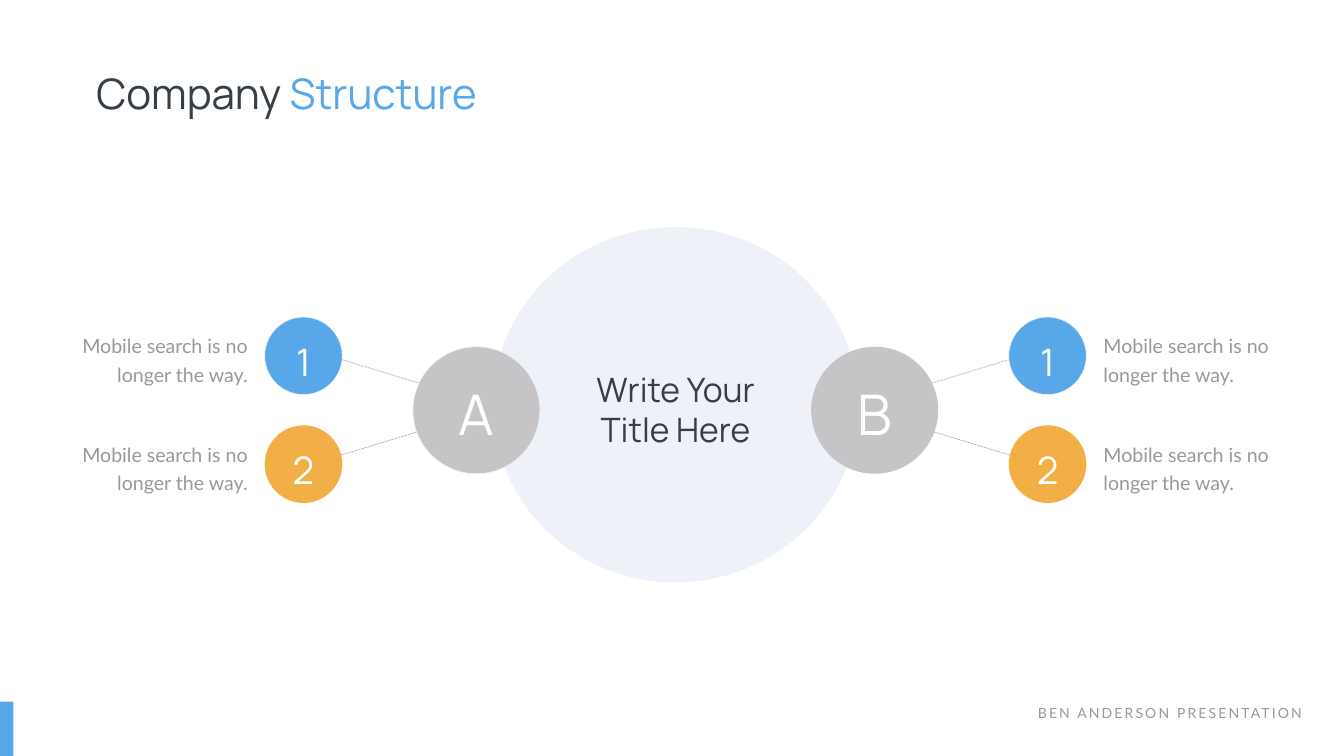
from dataclasses import dataclass

from lxml import etree
from pptx import Presentation
from pptx.dml.color import RGBColor
from pptx.enum.dml import MSO_LINE
from pptx.enum.shapes import MSO_CONNECTOR, MSO_SHAPE
from pptx.enum.text import MSO_ANCHOR, MSO_AUTO_SIZE, PP_ALIGN
from pptx.oxml.ns import qn
from pptx.util import Inches, Pt

OVAL, RECTANGLE = MSO_SHAPE.OVAL, MSO_SHAPE.RECTANGLE
STRAIGHT = MSO_CONNECTOR.STRAIGHT
DASHED = MSO_LINE.SQUARE_DOT
LEFT, CENTER, RIGHT = PP_ALIGN.LEFT, PP_ALIGN.CENTER, PP_ALIGN.RIGHT
TOP = MSO_ANCHOR.TOP
FIT_SHAPE = MSO_AUTO_SIZE.SHAPE_TO_FIT_TEXT
TITLE_ONLY = 5

COLUMNS, ROWS = 26.66, 15  # square grid cells across and down the slide


@dataclass(frozen=True)
class Theme:
    heading_font: str = "Manrope"
    body_font: str = "Lato"
    ink: str = "363E48"
    blue: str = "57A7E9"
    orange: str = "F3AF47"
    gray: str = "C7C4C7"
    pale: str = "EFF1F8"
    muted: str = "999999"
    rule: str = "BFBFBF"
    white: str = "FFFFFF"
    title_size: float = 60
    hub_size: float = 80
    node_size: float = 54
    core_size: float = 48
    note_size: float = 28
    footer_size: float = 20
    note_leading: float = 40.8
    label_leading: float = 1.2


class StructureSlide:
    def __init__(self, presentation, theme):
        self.theme = theme
        self.cell = presentation.slide_height / ROWS
        self.slide = presentation.slides.add_slide(presentation.slide_layouts[TITLE_ONLY])

    def grid(self, *cells):
        return [round(count * self.cell) for count in cells]

    def style(self, run, font, size, color):
        run.font.name = font
        run.font.size = Pt(size)
        run.font.color.rgb = RGBColor.from_string(color)

    def title(self, left, top, width, height, parts):
        """Fill the title placeholder with (text, color) parts."""
        heading = self.slide.shapes.title
        heading.left, heading.top, heading.width, heading.height = self.grid(left, top, width, height)
        frame = heading.text_frame
        frame.word_wrap = True
        frame.auto_size = FIT_SHAPE
        frame.vertical_anchor = TOP
        paragraph = frame.paragraphs[0]
        paragraph.alignment = LEFT
        for words, color in parts:
            run = paragraph.add_run()
            run.text = words
            self.style(run, self.theme.heading_font, self.theme.title_size, color)

    def text(self, x, y, width, height, words, font, size, color,
             align=CENTER, leading=None, inset=True, spacing=0):
        """Add a text box centred on (x, y); spacing is in points between letters."""
        box = self.slide.shapes.add_textbox(
            *self.grid(x - width / 2, y - height / 2, width, height))
        frame = box.text_frame
        frame.text = words
        frame.word_wrap = True
        frame.auto_size = FIT_SHAPE
        if not inset:
            frame.margin_left = frame.margin_right = frame.margin_top = frame.margin_bottom = 0
        paragraph = frame.paragraphs[0]
        paragraph.alignment = align
        if leading:
            paragraph.line_spacing = leading
        run = paragraph.runs[0]
        self.style(run, font, size, color)
        if spacing:
            run.font._element.set("spc", str(spacing * 100))

    def label(self, x, y, width, height, words, size):
        self.text(x, y, width, height, words, self.theme.heading_font, size,
                  self.theme.white, leading=self.theme.label_leading, inset=False)

    def shape(self, kind, x, y, width, height, fill, outlined=False):
        """Add a filled shape centred on (x, y)."""
        figure = self.slide.shapes.add_shape(
            kind, *self.grid(x - width / 2, y - height / 2, width, height))
        figure.shadow.inherit = False
        figure.fill.solid()
        figure.fill.fore_color.rgb = RGBColor.from_string(fill)
        if outlined:
            figure.line.color.rgb = RGBColor.from_string(self.theme.pale)
            figure.line.width = Pt(1)
        else:
            figure.line.fill.background()

    def link(self, *ends):
        line = self.slide.shapes.add_connector(STRAIGHT, *self.grid(*ends))
        line.line.color.rgb = RGBColor.from_string(self.theme.rule)
        line.line.width = Pt(1.25)
        line.line.dash_style = DASHED
        etree.SubElement(line._element.spPr, qn("a:effectLst"))


def main():
    presentation = Presentation()
    presentation.slide_width = Inches(COLUMNS)
    presentation.slide_height = Inches(ROWS)
    theme = Theme()
    page = StructureSlide(presentation, theme)

    page.title(1.81, 1.28, 9.76, 1.11, [("Company ", theme.ink), ("Structure", theme.blue)])
    page.text(23, 14.14, 5.85, 0.44, "BEN ANDERSON PRESENTATION", theme.body_font,
              theme.footer_size, theme.muted, align=RIGHT, spacing=3)
    page.shape(RECTANGLE, 0.13, 14.46, 0.27, 1.08, theme.blue)

    # Both branches mirror each other around the core.
    axis, middle = 13.4, 8.03
    hub_reach, node_reach, note_reach = 3.95, 7.38, 10.2
    branches = [(-1, "A", RIGHT), (1, "B", LEFT)]
    nodes = [("1", 7.06, theme.blue, True), ("2", 9.21, theme.orange, False)]

    for side, _, _ in branches:
        for slope in (-1, 1):
            page.link(axis + side * 6.7, 8.08 + slope * 0.97,
                      axis + side * 5.03, 8.08 + slope * 0.46)

    page.shape(OVAL, axis, middle, 7.25, 7.05, theme.pale)
    page.text(axis, 8.13, 4.21, 1.72, "Write Your Title Here",
              theme.heading_font, theme.core_size, theme.ink)

    for side, letter, note_align in branches:
        hub_x, node_x = axis + side * hub_reach, axis + side * node_reach
        page.shape(OVAL, hub_x, 8.14, 2.52, 2.52, theme.gray, outlined=side < 0)
        page.label(hub_x, middle, 0.76, 1.55, letter, theme.hub_size)
        for number, y, color, outlined in nodes:
            page.shape(OVAL, node_x, y, 1.54, 1.54, color, outlined)
            page.label(node_x, y, 0.9, 1.05, number, theme.node_size)
            page.text(axis + side * note_reach, y + 0.02, 3.62, 1.19,
                      "Mobile search is no longer the way.", theme.body_font,
                      theme.note_size, theme.muted, align=note_align,
                      leading=Pt(theme.note_leading))

    presentation.save("out.pptx")


if __name__ == "__main__":
    main()
